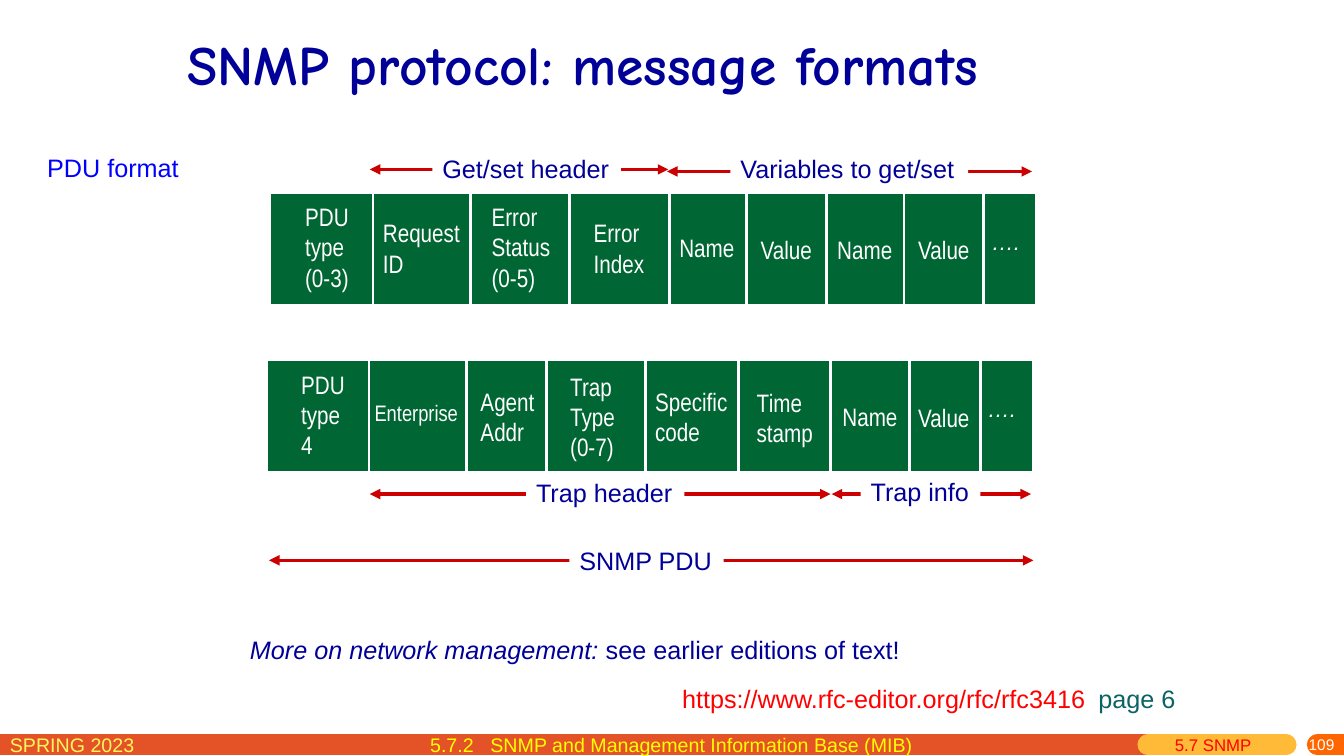
import pptx
import pptx.util
import pptx.dml.color
import pptx.enum.shapes
import pptx.enum.text
import pptx.oxml.ns
from lxml import etree

RGB = pptx.dml.color.RGBColor
NAVY = RGB(0x00, 0x00, 0x99)
BLUE = RGB(0x00, 0x00, 0xFF)
GREEN = RGB(0x00, 0x66, 0x33)
TEAL = RGB(0x0B, 0x63, 0x66)
RED = RGB(0xFF, 0x00, 0x00)
CRIMSON = RGB(0xCC, 0x00, 0x00)
WHITE = RGB(0xFF, 0xFF, 0xFF)
RUST = RGB(0xE4, 0x53, 0x27)
AMBER = RGB(0xFF, 0xBA, 0x37)
ORANGE = RGB(0xFF, 0x66, 0x00)
LEMON = RGB(0xFF, 0xF6, 0x5C)
YELLOW = RGB(0xFF, 0xFF, 0x00)

ANCHOR = pptx.enum.text.MSO_ANCHOR
ALIGN = pptx.enum.text.PP_ALIGN
FIT = pptx.enum.text.MSO_AUTO_SIZE
RECT = pptx.enum.shapes.MSO_SHAPE.RECTANGLE
STRAIGHT = pptx.enum.shapes.MSO_CONNECTOR.STRAIGHT


def cm(*inches):
    """Turn inches into lengths in centimetres."""
    return [pptx.util.Cm(round(2.54 * n, 2)) for n in inches]


def add(parent, tag, **attrs):
    return etree.SubElement(parent, pptx.oxml.ns.qn(tag), attrs)


def write(frame, text, size=18, font="Arial", color=NAVY, bold=False,
          italic=False, align=ALIGN.LEFT, lead=None, tab=None):
    """Fill a frame; text is a string or a list of (string, changes) runs."""
    runs = [(text, {})] if isinstance(text, str) else text
    par = frame.paragraphs[0]
    for part, change in runs:
        for i, line in enumerate(part.split("\n")):
            if i:
                par = frame.add_paragraph()
            par.alignment = align
            if lead:
                par.line_spacing = pptx.util.Pt(lead)
            if tab and not par.runs:
                stops = add(par._p.get_or_add_pPr(), "a:tabLst")
                add(stops, "a:tab", pos=str(cm(tab)[0]), algn="l")
            run = par.add_run()
            run.text = line
            run.font.name = font
            run.font.size = pptx.util.Pt(size)
            run.font.bold = bold
            run.font.italic = change.get("italic", italic)
            run.font.color.rgb = change.get("color", color)


class Deck:
    narrow = "Arial Narrow"
    row_high = 1.1
    line_high = 0.305

    def __init__(self):
        self.prs = pptx.Presentation()
        self.prs.slide_width, self.prs.slide_height = cm(13.333, 7.5)
        self.slide = self.prs.slides.add_slide(self.prs.slide_layouts[5])
        self.shapes = self.slide.shapes

    def title(self, text, left, top, width, height):
        shape = self.shapes.title
        shape.left, shape.top, shape.width, shape.height = cm(left, top, width, height)
        shape.text_frame.auto_size = FIT.NONE
        shape.text_frame.vertical_anchor = ANCHOR.MIDDLE
        write(shape.text_frame, text, size=39.6, font="Comic Neue", bold=True)

    def text(self, text, left, top, width, height=0.4, wrap=False,
             anchor=ANCHOR.TOP, **style):
        box = self.shapes.add_textbox(*cm(left, top, width, height))
        frame = box.text_frame
        frame.word_wrap = wrap
        frame.vertical_anchor = anchor
        write(frame, text, **style)
        return box

    def label(self, text, left, top, width):
        box = self.text(text, left, top, width)
        box.fill.solid()
        box.fill.fore_color.rgb = WHITE

    def line(self, x1, y1, x2, y2, color, width, arrow=False, cap="flat"):
        line = self.shapes.add_connector(STRAIGHT, *cm(x1, y1, x2, y2))
        line.line.color.rgb = color
        line.line.width = pptx.util.Pt(width)
        pen = line.line._get_or_add_ln()
        pen.set("cap", cap)
        if arrow:
            add(pen, "a:headEnd", type="triangle")
            add(pen, "a:tailEnd", type="triangle")
        add(line._element.spPr, "a:effectLst")

    def arrow(self, start, end, y):
        self.line(start, y, end, y, CRIMSON, 2.5, arrow=True)

    def row(self, left, top, edges, cells):
        bar = self.shapes.add_shape(RECT, *cm(left, top, 7.59, self.row_high))
        bar.shadow.inherit = False
        bar.fill.solid()
        bar.fill.fore_color.rgb = GREEN
        bar.line.color.rgb = WHITE
        bar.line.width = pptx.util.Pt(0.75)
        for x in edges:
            self.line(x, top, x, top + self.row_high, WHITE, 2)
        for text, x, y, width, size in cells:
            high = 0.1 + self.line_high * (text.count("\n") + 1)
            self.text(text, x, top + y, width, high, size=size,
                      font=self.narrow, color=WHITE)
        self.text("….", left + 7.05, top + 0.39, 0.49, 0.27, size=16,
                  color=WHITE, italic=True, lead=12)


def main():
    deck = Deck()

    # Footer band
    for start, end, color, cap in ((-0.18, 11.39, RUST, "flat"),
                                   (11.39, 12.76, AMBER, "rnd"),
                                   (13.07, 13.6, ORANGE, "rnd")):
        deck.line(start, 7.39, end, 7.39, color, 15, cap=cap)
    deck.text("SPRING 2023", 0, 7.22, 2.29, 0.31, wrap=True, size=14, color=LEMON)
    deck.text("109", 10.75, 7.3, 2.59, 0.18, wrap=True, anchor=ANCHOR.MIDDLE,
              size=11, color=WHITE, align=ALIGN.RIGHT)
    deck.text("5.7 SNMP", 11.56, 7.24, 1.1, 0.31, wrap=True, size=12, color=RED)
    deck.text("5.7.2\tSNMP and Management Information Base (MIB)",
              4.17, 7.22, 5.4, 0.34, wrap=True, size=14, color=YELLOW, tab=0.6)

    # Heading
    deck.title("SNMP protocol: message formats", 1.76, 0.17, 9.27, 0.91)
    deck.text("PDU format", 0.37, 1.46, 1.52)

    # Get/set message: text, left, offset from row top, width, size
    deck.row(2.69, 1.92, (3.7, 4.67, 5.65, 6.64, 7.41, 8.2, 8.97, 9.76), (
        ("PDU\ntype\n(0-3)", 2.93, 0.03, 0.64, 18),
        ("Request\nID", 3.7, 0.19, 0.97, 18),
        ("Error\nStatus\n(0-5)", 4.78, 0.03, 0.79, 18),
        ("Error\nIndex", 5.79, 0.19, 0.71, 18),
        ("Name", 6.64, 0.34, 0.76, 18),
        ("Value", 7.45, 0.35, 0.72, 18),
        ("Name", 8.21, 0.35, 0.75, 18),
        ("Value", 9.01, 0.36, 0.72, 18)))

    # Trap message
    deck.row(2.65, 3.58, (3.66, 4.63, 5.42, 6.4, 7.33, 8.24, 9.02, 9.73), (
        ("PDU\ntype\n4", 2.89, 0.03, 0.64, 18),
        ("Enterprise", 3.62, 0.33, 1.04, 16),
        ("Agent\nAddr", 4.67, 0.2, 0.74, 18),
        ("Trap\nType\n(0-7)", 5.56, 0.05, 0.65, 18),
        ("Specific\ncode", 6.4, 0.2, 0.93, 18),
        ("Time\nstamp", 7.41, 0.21, 0.77, 18),
        ("Name", 8.26, 0.35, 0.75, 18),
        ("Value", 9.01, 0.36, 0.72, 18)))

    # Spans: arrow start, end and height, then label, left, top and width
    for start, end, y, name, left, top, width in (
            (3.67, 6.63, 1.68, "Get/set header", 4.29, 1.47, 1.87),
            (6.62, 10.24, 1.7, "Variables to get/set", 7.25, 1.47, 2.36),
            (3.67, 8.24, 4.9, "Trap header", 5.22, 4.69, 1.57),
            (8.25, 10.23, 4.9, "Trap info", 8.54, 4.68, 1.19),
            (2.67, 10.25, 5.56, "SNMP PDU", 5.65, 5.36, 1.53)):
        deck.arrow(start, end, y)
        deck.label(name, left, top, width)

    # Further reading
    deck.text([("More on network management: ", {"italic": True}),
               ("see earlier editions of text!", {})], 2.38, 6.24, 6.71)
    deck.text([("https://www.rfc-editor.org/rfc/rfc3416\t", {"color": RED}),
               ("page 6", {"color": TEAL})], 6.67, 6.73, 5.98, wrap=True, tab=4.13)

    # Blue lead-in colour
    for shape in deck.shapes:
        if shape.has_text_frame and shape.text_frame.text == "PDU format":
            shape.text_frame.paragraphs[0].runs[0].font.color.rgb = BLUE

    deck.prs.save("out.pptx")


if __name__ == "__main__":
    main()
